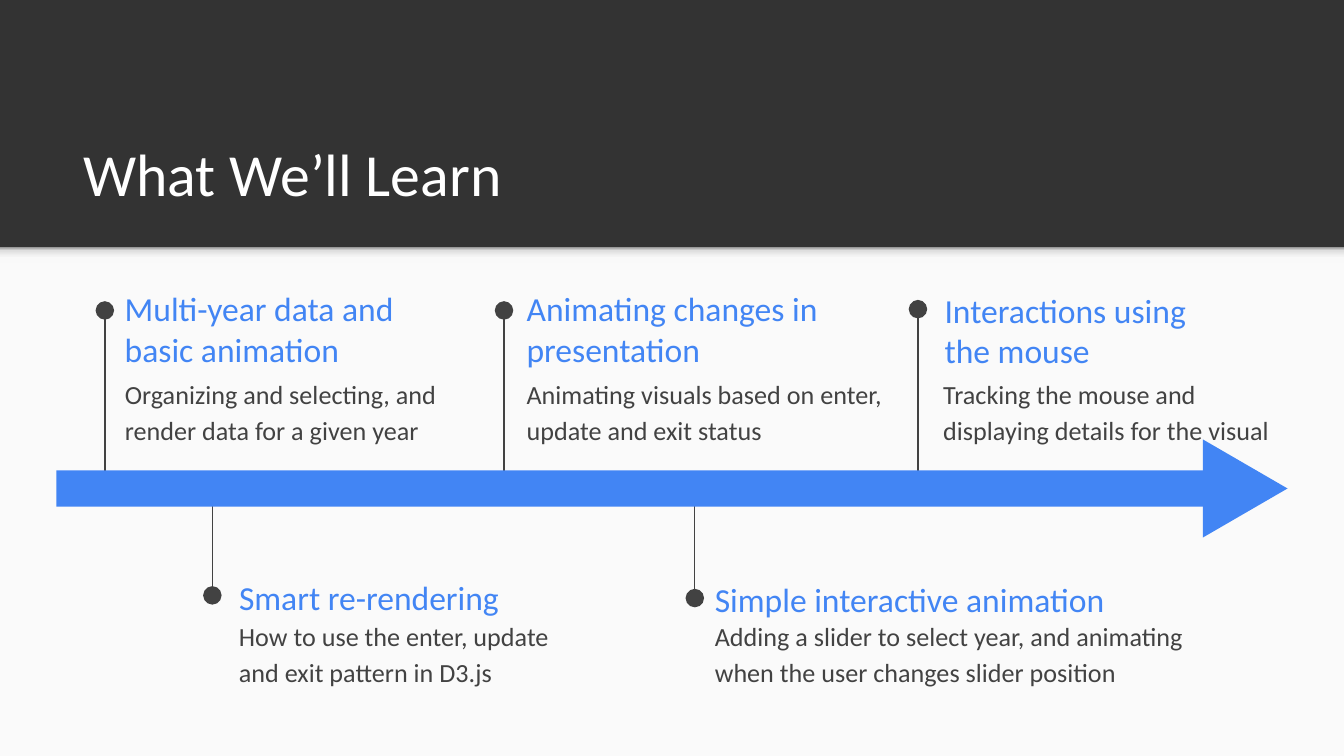
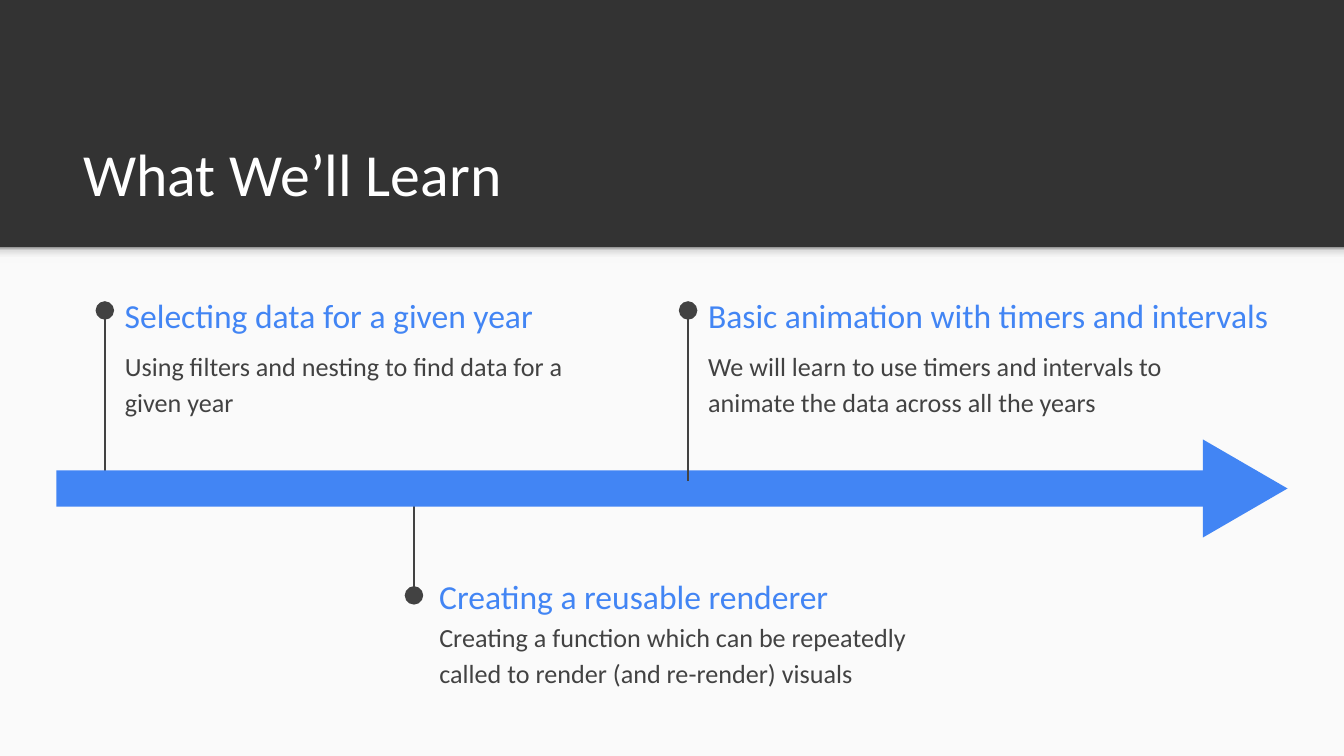
"""Build two timeline slides that outline what the course teaches."""
from copy import deepcopy

from lxml import etree
from pptx import Presentation
from pptx.dml.color import RGBColor
from pptx.enum.shapes import MSO_CONNECTOR, MSO_SHAPE
from pptx.enum.text import MSO_ANCHOR, MSO_AUTO_SIZE, PP_ALIGN
from pptx.oxml.ns import qn
from pptx.util import Pt

PX = 9144
WIDTH = 1000
BAND_BOTTOM = 184
INSET = 10
FONT = "Calibri"
COLORS = {
    "band": "333333",
    "panel": "FAFAFA",
    "title": "FFFFFF",
    "accent": "4285F4",
    "text": "424242",
}
SHADE = [(0, "F9F9F9"), (0.36, "F9F9F9"), (0.8, "DEDEDE"), (1, "999999")]

RECT = MSO_SHAPE.RECTANGLE
TRIANGLE = MSO_SHAPE.ISOSCELES_TRIANGLE
STRAIGHT = MSO_CONNECTOR.STRAIGHT
TOP, MIDDLE, BOTTOM = MSO_ANCHOR.TOP, MSO_ANCHOR.MIDDLE, MSO_ANCHOR.BOTTOM
LEFT = PP_ALIGN.LEFT
NO_FIT = MSO_AUTO_SIZE.NONE


def rgb(name):
    return RGBColor.from_string(COLORS[name])


def write(s, text, size=14, color="text", anchor=TOP, spacing=1.0, after=0):
    tf = s.text_frame
    tf.word_wrap = True
    tf.auto_size = NO_FIT
    tf.vertical_anchor = anchor
    tf.margin_left = tf.margin_right = INSET * PX
    tf.margin_top = tf.margin_bottom = INSET * PX
    p = tf.paragraphs[0]
    p.alignment = LEFT
    p.line_spacing = spacing
    p.space_after = Pt(after)
    r = p.add_run()
    r.text = text
    r.font.name = FONT
    r.font.size = Pt(size)
    r.font.color.rgb = rgb(color)


class Deck:
    """Hold the shared style and the slide being drawn."""

    def __init__(self):
        self.prs = Presentation()
        self.prs.slide_width = WIDTH * PX
        self.prs.slide_height = self.prs.slide_width * 9 // 16
        fill = self.prs.slide_master.background.fill
        fill.solid()
        fill.fore_color.rgb = rgb("band")

    def add_slide(self, title):
        self.slide = self.prs.slides.add_slide(self.prs.slide_layouts[5])
        self.shape(RECT, (0, BAND_BOTTOM, WIDTH, 379), "panel")
        self.band_shadow()
        s = self.slide.shapes.title
        s.left, s.top, s.width, s.height = (v * PX for v in (52, 81, 899, 84))
        write(s, title, size=32, color="title", anchor=BOTTOM)

    def shape(self, kind, box, color, group=None):
        shapes = (group or self.slide).shapes
        s = shapes.add_shape(kind, *(v * PX for v in box))
        s.shadow.inherit = False
        s.line.fill.background()
        s.fill.solid()
        s.fill.fore_color.rgb = rgb(color)
        return s

    def band_shadow(self):
        s = self.shape(RECT, (0, BAND_BOTTOM, WIDTH, 12), "panel")
        s.fill.gradient()
        s.fill.gradient_angle = 90
        stops = s._element.spPr.find(".//" + qn("a:gsLst"))
        for _ in range(len(SHADE) - len(stops)):
            stops.append(deepcopy(stops[0]))
        for stop, (position, color) in zip(s.fill.gradient_stops, SHADE):
            stop.position = position
            stop.color.rgb = RGBColor.from_string(color)

    def text(self, text, box, **style):
        s = self.slide.shapes.add_textbox(*(v * PX for v in box))
        write(s, text, **style)

    def pin(self, x, start, end):
        s = self.slide.shapes.add_connector(
            STRAIGHT, x * PX, start * PX, x * PX, end * PX)
        s.line.color.rgb = rgb("text")
        s.line.width = Pt(0.75)
        etree.SubElement(s.line._get_or_add_ln(), qn("a:tailEnd"),
                         type="oval", w="lg", len="lg")
        etree.SubElement(s._element.spPr, qn("a:effectLst"))

    def arrow(self):
        group = self.slide.shapes.add_group_shape()
        head = self.shape(TRIANGLE, (890, 332, 73, 63), "accent", group)
        head.rotation = 90
        self.shape(RECT, (42, 350, 864, 27), "accent", group)

    def milestone(self, pin, heading, heading_box, body, body_box):
        self.pin(*pin)
        self.text(heading, (*heading_box, 43), size=18, color="accent",
                  anchor=MIDDLE)
        self.text(body, (*body_box, 63), spacing=1.15, after=16)

    def timeline(self, title, behind, in_front=()):
        self.add_slide(title)
        for item in behind:
            self.milestone(*item)
        self.arrow()
        for item in in_front:
            self.milestone(*item)


TITLE = "What We’ll Learn"
TOPICS = [
    ((158, 370, 443), "Smart re-rendering", (168, 423, 275),
     "How to use the enter, update and exit pattern in D3.js",
     (168, 448, 263)),
    ((78, 358, 231), "Multi-year data and basic animation", (83, 223, 266),
     "Organizing and selecting, and render data for a given year",
     (83, 268, 258)),
    ((517, 372, 445), "Simple interactive animation", (522, 424, 325),
     "Adding a slider to select year, and animating when the user changes "
     "slider position", (522, 448, 389)),
    ((375, 358, 231), "Animating changes in presentation", (382, 223, 296),
     "Animating visuals based on enter, update and exit status",
     (382, 268, 290)),
    ((683, 356, 230), "Interactions using the mouse", (693, 224, 227),
     "Tracking the mouse and displaying details for the visual",
     (692, 268, 267)),
]
FIRST_STEPS = [
    ((308, 370, 443), "Creating a reusable renderer", (317, 422, 423),
     "Creating a function which can be repeatedly called to render "
     "(and re-render) visuals", (317, 449, 375)),
    ((78, 358, 231), "Selecting data for a given year", (83, 213, 367),
     "Using filters and nesting to find data for a given year",
     (83, 247, 358)),
]
LAST_STEPS = [
    ((512, 358, 231), "Basic animation with timers and intervals",
     (517, 213, 450),
     "We will learn to use timers and intervals to animate the data across "
     "all the years", (517, 247, 358)),
]


def main():
    deck = Deck()
    deck.timeline(TITLE, TOPICS)
    deck.timeline(TITLE, FIRST_STEPS, LAST_STEPS)
    deck.prs.save("out.pptx")


if __name__ == "__main__":
    main()
